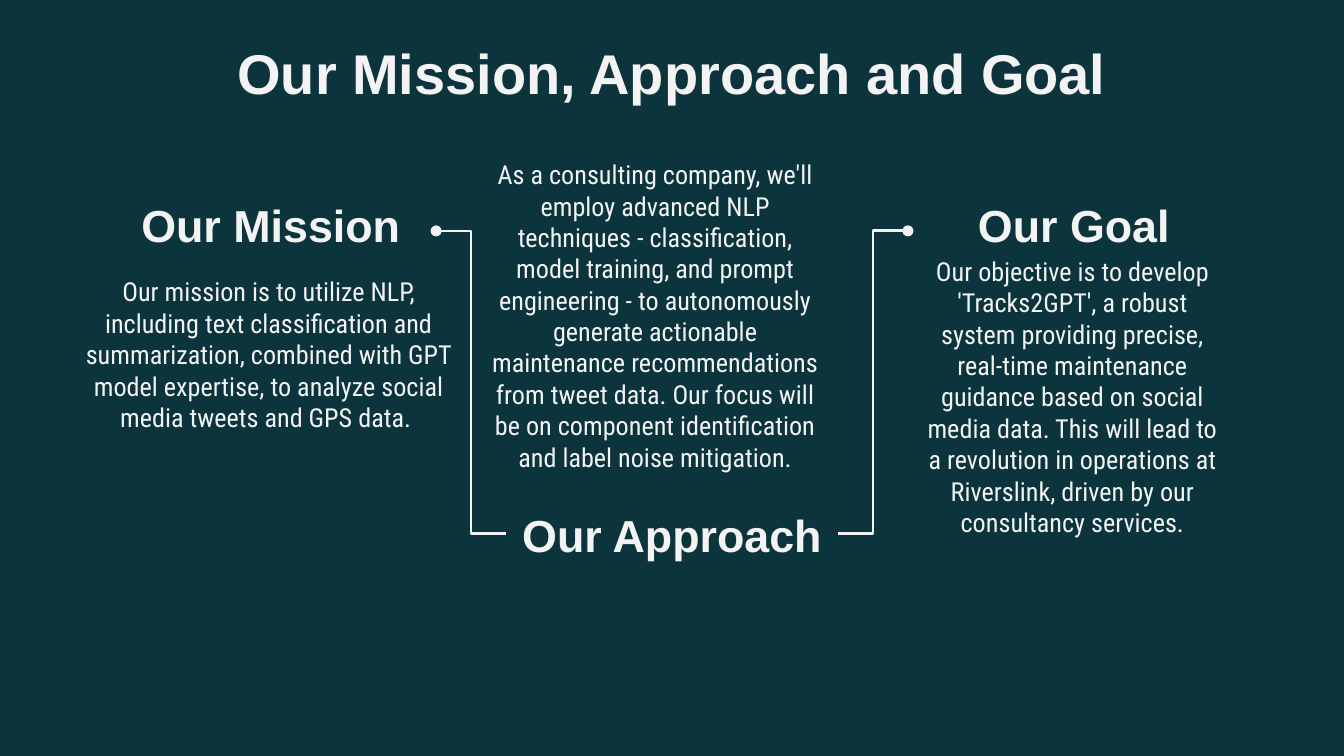
from lxml import etree
from pptx import Presentation
from pptx import util as u
from pptx.dml.color import RGBColor
from pptx.enum import shapes, text
from pptx.oxml.ns import qn

DARK = RGBColor(0x0C, 0x34, 0x3D)
LIGHT = RGBColor(0xF3, 0xF3, 0xF3)
TITLE = {"name": "Arial", "size": u.Pt(30), "bold": True}
HEADING = {"name": "Arial", "size": u.Pt(24), "bold": True}
BODY = {"name": "Roboto Condensed", "size": u.Pt(14), "bold": False}
TOP, BOTTOM = text.MSO_ANCHOR.TOP, text.MSO_ANCHOR.BOTTOM

prs = Presentation()
prs.slide_width = u.Inches(10)
prs.slide_height = prs.slide_width * 9 // 16
COL, ROW = prs.slide_width / 100, prs.slide_height / 100


def grid(x, y, w, h):
    return [round(v) for v in (x * COL, y * ROW, w * COL, h * ROW)]


def write(sp, words, fmt, anchor):
    tf = sp.text_frame
    frame = {"word_wrap": True, "auto_size": text.MSO_AUTO_SIZE.NONE, "vertical_anchor": anchor}
    for side in ("left", "top", "right", "bottom"):
        frame["margin_" + side] = u.Inches(0.1)
    for key, value in frame.items():
        setattr(tf, key, value)
    p = tf.paragraphs[0]
    p.alignment = text.PP_ALIGN.CENTER
    r = p.add_run()
    r.text = words
    for key, value in fmt.items():
        setattr(r.font, key, value)
    r.font.color.rgb = LIGHT


s = prs.slides.add_slide(prs.slide_layouts[5])
s.background.fill.solid()
s.background.fill.fore_color.rgb = DARK

title = s.shapes.title
for key, value in zip(("left", "top", "width", "height"), grid(7.85, 3.3, 84.3, 11.2)):
    setattr(title, key, value)
write(title, "Our Mission, Approach and Goal", TITLE, TOP)

sections = [
    ("Our Mission", (7.8, 26.1, 24.7, 8.9),
     "Our mission is to utilize NLP, including text classification and summarization, "
     "combined with GPT model expertise, to analyze social media tweets and GPS data. ",
     (5.1, 34.7, 29.8, 48.4)),
    ("Our Goal", (67.55, 26.1, 24.7, 8.9),
     "Our objective is to develop 'Tracks2GPT', a robust system providing precise, "
     "real-time maintenance guidance based on social media data. This will lead to a "
     "revolution in operations at Riverslink, driven by our consultancy services.",
     (67.45, 32, 24.7, 38.6)),
    ("Our Approach", (37.65, 65.3, 24.7, 10.7),
     "As a consulting company, we'll employ advanced NLP techniques - classification, "
     "model training, and prompt engineering - to autonomously generate actionable "
     "maintenance recommendations from tweet data. Our focus will be on component "
     "identification and label noise mitigation.",
     (35.15, 19.2, 27.2, 46.1)),
]
for heading, heading_box, body, body_box in sections:
    write(s.shapes.add_textbox(*grid(*heading_box)), heading, HEADING, BOTTOM)
    write(s.shapes.add_textbox(*grid(*body_box)), body, BODY, TOP)

UPPER, LOWER = 30.55, 70.6
links = [((32.45, UPPER, 37.65, LOWER), "a:headEnd"),
         ((62.35, LOWER, 67.55, UPPER), "a:tailEnd")]
for ends, dot in links:
    link = s.shapes.add_connector(shapes.MSO_CONNECTOR.ELBOW, *grid(*ends))
    link.line.color.rgb = LIGHT
    link.line.width = u.Pt(1.5)
    etree.SubElement(link.line._get_or_add_ln(), qn(dot), type="oval")
    etree.SubElement(link._element.spPr, qn("a:effectLst"))

prs.save("out.pptx")
